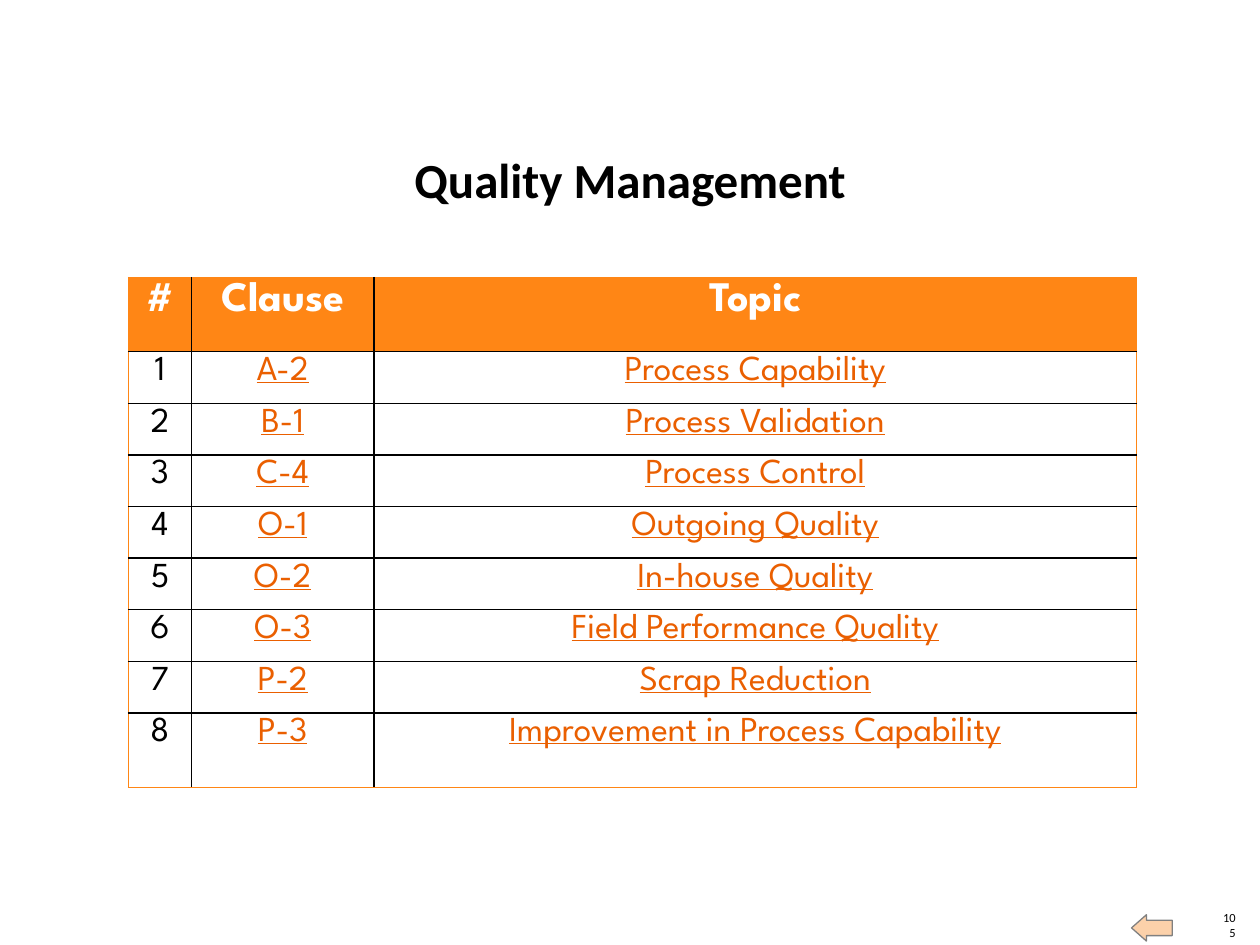
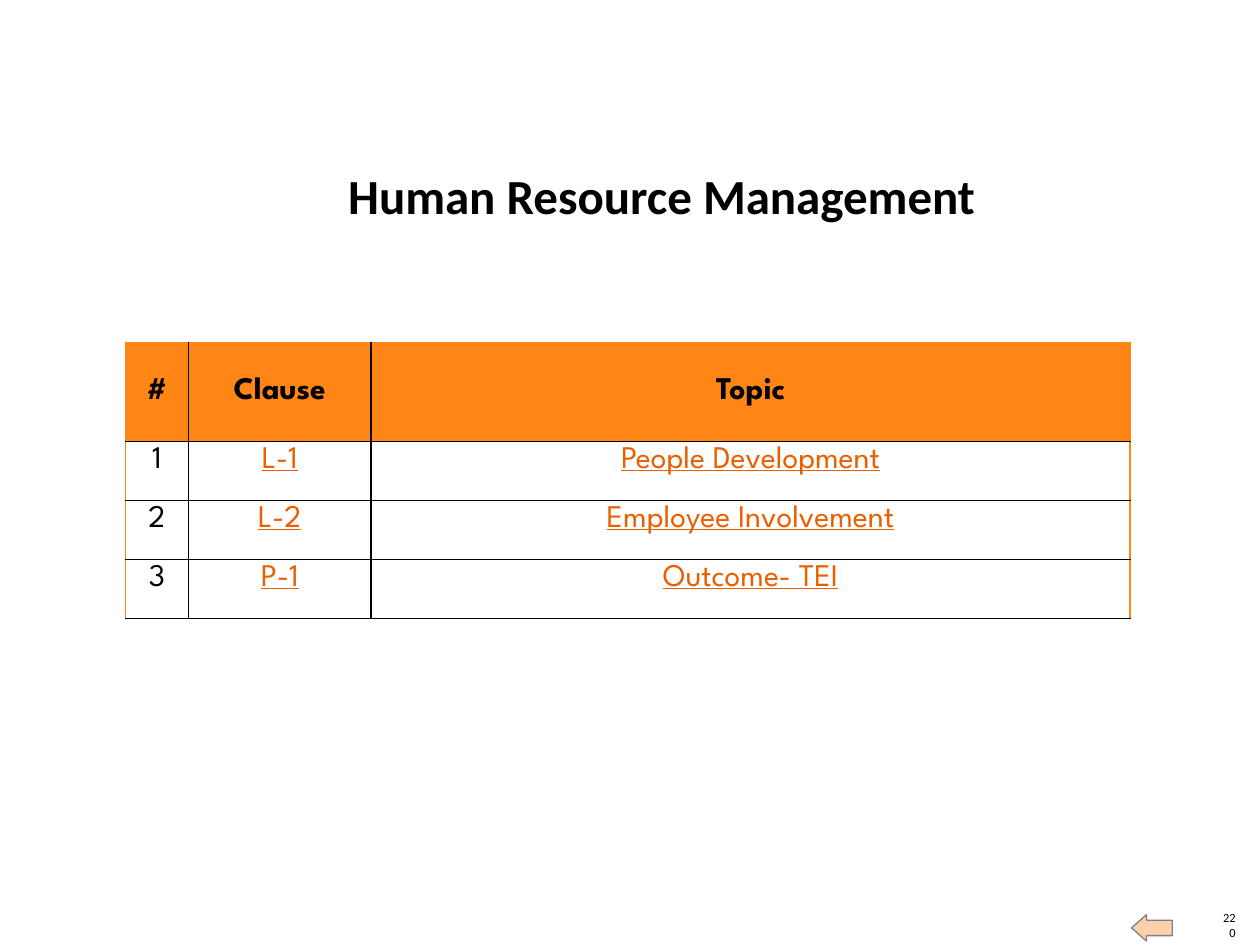
import pptx
import pptx.dml.color
import pptx.enum.shapes
import pptx.enum.text
import pptx.oxml
import pptx.oxml.ns
import pptx.util

Cm = pptx.util.Cm
Pt = pptx.util.Pt
ALIGN = pptx.enum.text.PP_ALIGN
ANCHOR = pptx.enum.text.MSO_ANCHOR

ORANGE = "FF8615"
LINK = "EA5F00"
PEACH = "FCD1AA"
GREY = "808080"
BLACK = "000000"
WHITE = "FFFFFF"
HEAD_FONT = "Calibri"
TABLE_FONT = "League Spartan"
HEADINGS = ("#", "Clause", "Topic")


def rgb(value):
    return pptx.dml.color.RGBColor.from_string(value)


def place(sp, box):
    sp.left, sp.top, sp.width, sp.height = (Cm(v) for v in box)


def style_text(tf, align, font, size, color, bold=False, underline=False):
    p = tf.paragraphs[0]
    p.alignment = align
    for r in p.runs:
        r.font.name = font
        r.font.size = Pt(size)
        r.font.bold = bold
        r.font.underline = underline
        r.font.color.rgb = rgb(color)


def clear_frame(tf):
    tf.margin_left = tf.margin_top = tf.margin_right = tf.margin_bottom = 0
    tf.vertical_anchor = ANCHOR.BOTTOM
    tf.auto_size = pptx.enum.text.MSO_AUTO_SIZE.NONE
    tf.word_wrap = True


def add_title(slide, text, box):
    sp = slide.shapes.title
    place(sp, box)
    sp.fill.solid()
    sp.fill.fore_color.rgb = rgb(WHITE)
    tf = sp.text_frame
    tf.text = text
    clear_frame(tf)
    style_text(tf, ALIGN.CENTER, HEAD_FONT, 28, BLACK, bold=True)


def add_footer(slide, number, box):
    left, top, width, height = box
    sp = slide.shapes.add_shape(
        pptx.enum.shapes.MSO_SHAPE.RIGHT_ARROW,
        Cm(left), Cm(top), Cm(0.82), Cm(0.53))
    sp.rotation = 180
    sp.adjustments[0] = 0.588
    sp.adjustments[1] = 0.565
    sp.shadow.inherit = False
    sp.fill.solid()
    sp.fill.fore_color.rgb = rgb(PEACH)
    sp.line.color.rgb = rgb(GREY)
    sp.line.width = Pt(0.75)

    side = 0.3
    sp = slide.shapes.add_textbox(
        Cm(left + width - side), Cm(top + height - side), Cm(side), Cm(side))
    tf = sp.text_frame
    tf.text = number
    clear_frame(tf)
    style_text(tf, ALIGN.RIGHT, HEAD_FONT, 7.1, BLACK)


def set_borders(cell, **edges):
    tc_pr = cell._tc.get_or_add_tcPr()
    for i, side in enumerate("LRTB"):
        color = edges[side]
        width = Pt(0.75 if color == ORANGE else 1)
        tc_pr.insert(i, pptx.oxml.parse_xml(
            f'<a:ln{side} {pptx.oxml.ns.nsdecls("a")} w="{width}">'
            f'<a:solidFill><a:srgbClr val="{color}"/></a:solidFill>'
            f'</a:ln{side}>'))


def add_clause_table(slide, topics, box, row_heights, head, body_size,
                     bottom_edge):
    left, top, width, height = box
    rows = [HEADINGS] + [(str(i), *t) for i, t in enumerate(topics, 1)]
    table = slide.shapes.add_table(
        len(rows), len(HEADINGS), Cm(left), Cm(top), Cm(width),
        Cm(height)).table
    table.first_row = table.horz_banding = False
    for col, w in zip(table.columns, (1.27, 3.68, width - 4.95)):
        col.width = Cm(w)
    for row, h in zip(table.rows, row_heights):
        row.height = Cm(h)

    last_row, last_col = len(rows) - 1, len(HEADINGS) - 1
    for i, texts in enumerate(rows):
        for j, text in enumerate(texts):
            cell = table.cell(i, j)
            cell.text = text
            cell.margin_left = cell.margin_right = Cm(0.18)
            cell.margin_top = cell.margin_bottom = Cm(0.09)
            if i == 0:
                cell.fill.solid()
                cell.fill.fore_color.rgb = rgb(ORANGE)
                cell.vertical_anchor = head["anchor"]
                style_text(cell.text_frame, ALIGN.CENTER, TABLE_FONT,
                           head["size"], head["color"], bold=True)
            else:
                cell.fill.background()
                cell.vertical_anchor = ANCHOR.TOP
                style_text(cell.text_frame, ALIGN.CENTER, TABLE_FONT,
                           body_size, LINK if j else BLACK,
                           underline=j > 0)
            set_borders(
                cell,
                L=BLACK if j else ORANGE,
                R=ORANGE if j == last_col else BLACK,
                T=BLACK if i else ORANGE,
                B=bottom_edge if i == last_row else BLACK)


def add_clause_slide(prs, title, title_box, number, **table):
    slide = prs.slides.add_slide(prs.slide_layouts[5])
    add_footer(slide, number, (22.81, 18.44, 2.1, 0.5))
    add_clause_table(slide, **table)
    add_title(slide, title, title_box)


def main():
    prs = pptx.Presentation()
    prs.slide_width, prs.slide_height = Cm(25.4), Cm(19.05)

    add_clause_slide(
        prs, "Quality Management", (7.44, 3.02, 10.52, 1.19), "105",
        topics=[
            ("A-2", "Process Capability"),
            ("B-1", "Process Validation"),
            ("C-4", "Process Control"),
            ("O-1", "Outgoing Quality"),
            ("O-2", "In-house Quality"),
            ("O-3", "Field Performance Quality"),
            ("P-2", "Scrap Reduction"),
            ("P-3", "Improvement in Process Capability"),
        ],
        box=(2.59, 5.59, 20.32, 10.28),
        row_heights=[1.5] + [1.04] * 7 + [1.5],
        head={"size": 24, "color": WHITE, "anchor": ANCHOR.TOP},
        body_size=20, bottom_edge=ORANGE)

    add_clause_slide(
        prs, "Human Resource Management", (5.51, 3.33, 15.65, 1.19), "220",
        topics=[
            ("L-1", "People Development"),
            ("L-2", "Employee Involvement"),
            ("P-1", "Outcome- TEI"),
        ],
        box=(2.53, 6.9, 20.25, 5.57),
        row_heights=[2] + [1.19] * 3,
        head={"size": 18, "color": BLACK, "anchor": ANCHOR.MIDDLE},
        body_size=18, bottom_edge=BLACK)

    prs.save("out.pptx")


if __name__ == "__main__":
    main()
